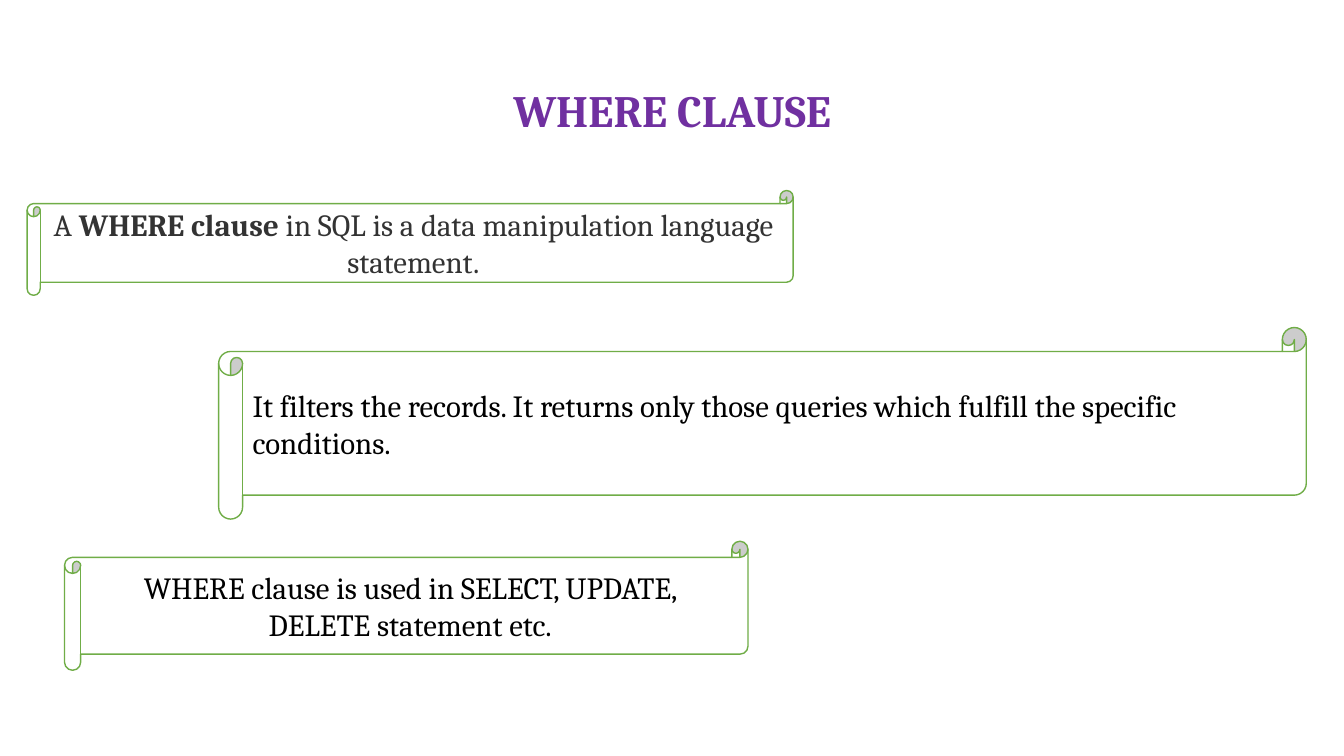
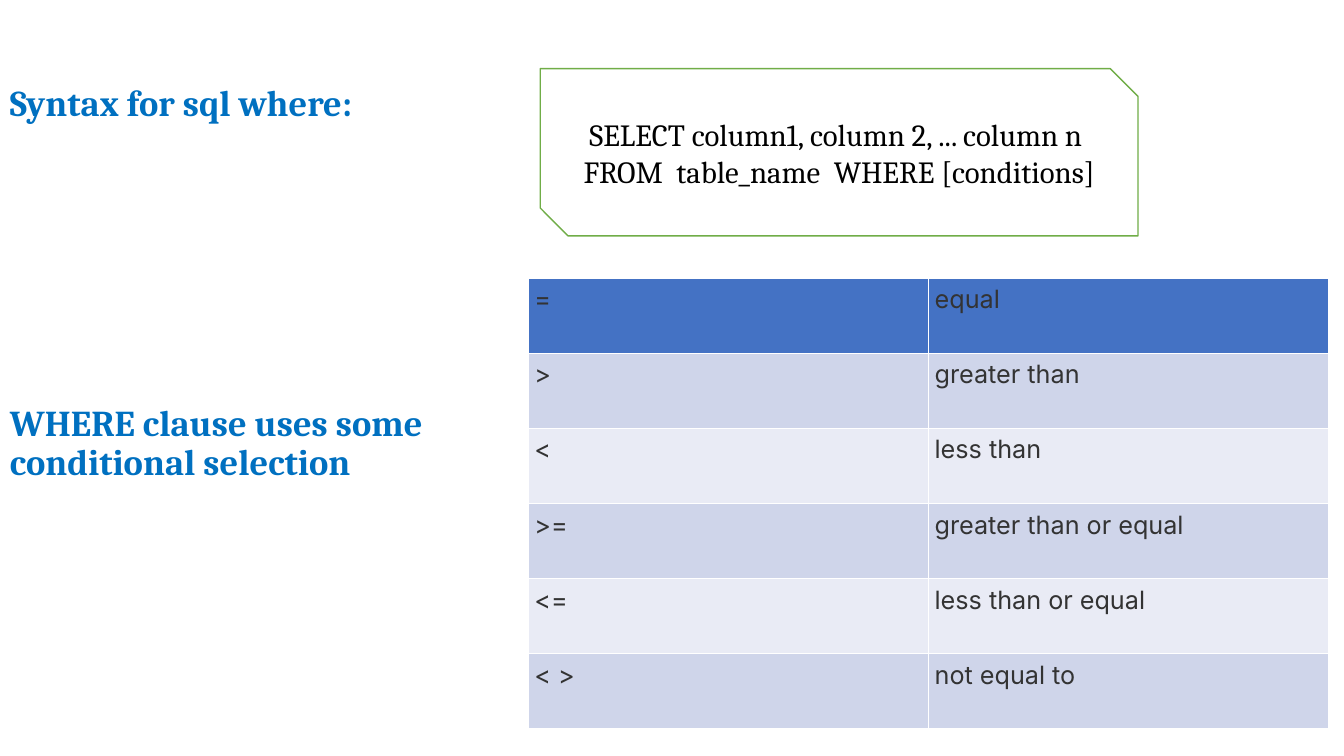
from lxml import etree
from pptx import Presentation
from pptx.dml.color import RGBColor
from pptx.enum import shapes, text
from pptx.oxml.ns import qn
from pptx.util import Pt

HUES = {
    "title": "7030A0", "head": "0070C0", "ink": "000000", "soft": "333333",
    "edge": "70AD47", "white": "FFFFFF",
    "top": "4472C4", "odd": "CFD5EA", "even": "E9EBF5",
}
SERIF, SANS = "Cambria", "Inter"
LEFT, MID, JUST = text.PP_ALIGN.LEFT, text.PP_ALIGN.CENTER, text.PP_ALIGN.JUSTIFY
SCROLL = shapes.MSO_SHAPE.HORIZONTAL_SCROLL
SNIP = shapes.MSO_SHAPE.SNIP_2_DIAG_RECTANGLE

TITLE = "WHERE CLAUSE"
# Each run is (words, bold); each scroll is (box, align, colour, runs).
SCROLLS = [
    ((19.4, 136.1, 547.2, 74.9), MID, "soft",
     [("A ", False), ("WHERE clause", True),
      (" in SQL is a data manipulation language statement.", False)]),
    ((156.2, 234, 776.9, 136.8), LEFT, "ink",
     [("It filters the records. It returns only those queries which fulfill "
       "the specific conditions.", False)]),
    ((46.1, 386.6, 488.2, 92.2), MID, "ink",
     [("WHERE clause is used in SELECT, UPDATE, DELETE statement etc.", False)]),
]
HEADS = [
    (57.6, "Syntax for sql where:"),
    (285.6, "WHERE clause uses some conditional selection"),
]
QUERY = "SELECT column1, column 2, ... column n  FROM  table_name  WHERE [conditions]"
TESTS = [
    ("=", "equal"), (">", "greater than"), ("<", "less than"),
    (">=", "greater than or equal"), ("<=", "less than or equal"),
    ("< >", "not equal to"),
]


def tint(name):
    return RGBColor.from_string(HUES[name])


def write(para, runs, size, hue, align, face=SERIF):
    para.alignment = align
    for words, bold in runs:
        run = para.add_run()
        run.text = words
        font = run.font
        font.name, font.size, font.bold = face, Pt(size), bold
        font.color.rgb = tint(hue)


def head(slide, box, words, size, hue, align, anchor):
    """Add a bold heading with tight line spacing."""
    frame = slide.shapes.add_textbox(*map(Pt, box)).text_frame
    frame.word_wrap = True
    frame.vertical_anchor = anchor
    para = frame.paragraphs[0]
    para.line_spacing = 0.9
    write(para, [(words, True)], size, hue, align)


def panel(slide, kind, box, runs, hue="ink", align=MID):
    """Add a white, green-edged shape with text inside."""
    shape = slide.shapes.add_shape(kind, *map(Pt, box))
    shape.shadow.inherit = False
    shape.fill.solid()
    shape.fill.fore_color.rgb = tint("white")
    shape.line.color.rgb = tint("edge")
    shape.line.width = Pt(1)
    frame = shape.text_frame
    frame.word_wrap = True
    frame.vertical_anchor = text.MSO_ANCHOR.MIDDLE
    write(frame.paragraphs[0], runs, 22, hue, align)


def rule(cell):
    """Give a cell thin white borders."""
    props = cell._tc.get_or_add_tcPr()
    for side in ("a:lnL", "a:lnR", "a:lnT", "a:lnB"):
        line = etree.SubElement(props, qn(side), w=str(Pt(1)))
        fill = etree.SubElement(line, qn("a:solidFill"))
        etree.SubElement(fill, qn("a:srgbClr"), val=HUES["white"])


def grid(slide, rows, box):
    table = slide.shapes.add_table(len(rows), len(rows[0]), *map(Pt, box)).table
    for i, row in enumerate(rows):
        shade = "top" if i == 0 else ("odd" if i % 2 else "even")
        for j, words in enumerate(row):
            cell = table.cell(i, j)
            rule(cell)
            cell.fill.solid()
            cell.fill.fore_color.rgb = tint(shade)
            cell.margin_left = cell.margin_right = Pt(4.5)
            cell.margin_top = cell.margin_bottom = Pt(4.5)
            write(cell.text_frame.paragraphs[0], [(words, False)],
                  18, "soft", JUST, SANS)


def main():
    deck = Presentation()
    deck.slide_width, deck.slide_height = Pt(960), Pt(540)
    blank = deck.slide_layouts[6]

    clause = deck.slides.add_slide(blank)
    head(clause, (46.1, 55.4, 868.3, 50.4), TITLE, 32, "title", MID,
         text.MSO_ANCHOR.MIDDLE)
    for box, align, hue, runs in SCROLLS:
        panel(clause, SCROLL, box, runs, hue, align)

    syntax = deck.slides.add_slide(blank)
    for top, words in HEADS:
        head(syntax, (0, top, 408.2, 72), words, 26, "head", LEFT,
             text.MSO_ANCHOR.TOP)
    panel(syntax, SNIP, (385.9, 49, 427, 119.5), [(QUERY, False)])
    grid(syntax, TESTS, (377.3, 198.7, 571.7, 321.8))

    deck.save("out.pptx")


if __name__ == "__main__":
    main()
